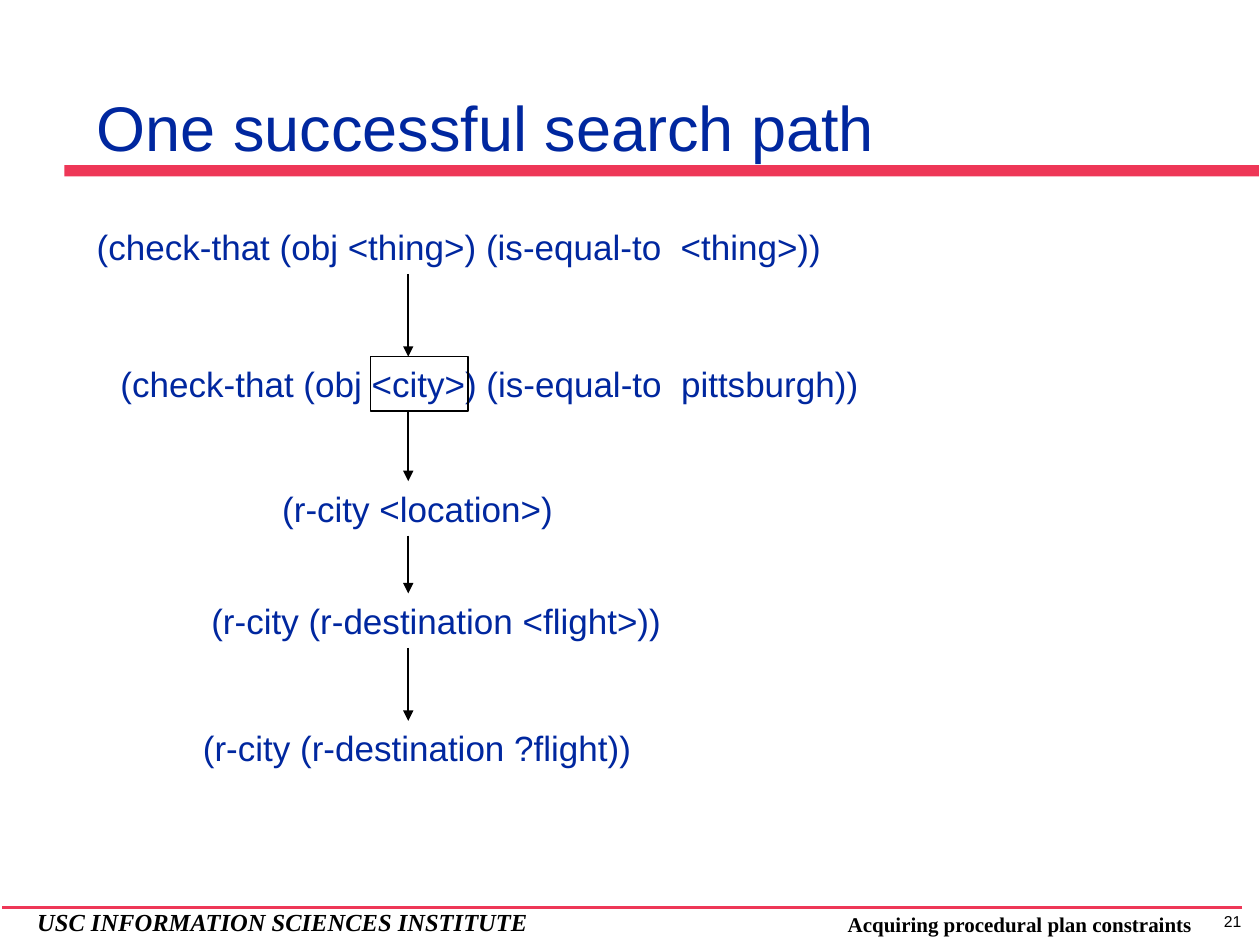
from pptx import Presentation
from pptx.dml.color import RGBColor
from pptx.enum.shapes import MSO_CONNECTOR as Link, MSO_SHAPE as Shape
from pptx.enum.text import MSO_ANCHOR as Anchor, MSO_AUTO_SIZE as Fit, PP_ALIGN as Align
from pptx.oxml.ns import qn
from pptx.util import Cm, Pt
from lxml.etree import SubElement

BLUE, RED, BLACK = "00279F", "EE3757", "000000"


def write(box, text, size=20, font="Arial", color=BLUE, bold=False,
          italic=False, align=Align.LEFT, anchor=Anchor.TOP):
    frame = box.text_frame
    frame.word_wrap = True
    frame.auto_size = Fit.NONE
    frame.vertical_anchor = anchor
    par = frame.paragraphs[0]
    par.alignment = align
    run = par.add_run()
    run.text = text
    run.font.size = Pt(size)
    run.font.name = font
    run.font.bold = bold
    run.font.italic = italic
    run.font.color.rgb = RGBColor.from_string(color)


def draw(x1, y1, x2, y2, color, width, arrow=False):
    line = slide.shapes.add_connector(Link.STRAIGHT, Cm(x1), Cm(y1), Cm(x2), Cm(y2))
    line.line.color.rgb = RGBColor.from_string(color)
    line.line.width = Pt(width)
    if arrow:
        SubElement(line.line._get_or_add_ln(), qn("a:tailEnd"), type="triangle")
    SubElement(line._element.spPr, qn("a:effectLst"))


prs = Presentation()
prs.slide_width, prs.slide_height = Cm(25.4), Cm(19.05)
slide = prs.slides.add_slide(prs.slide_layouts[5])
shapes = slide.shapes

# Title and the bar under it
bar = shapes.add_shape(Shape.RECTANGLE, Cm(1.3), Cm(3.33), Cm(24.08), Cm(0.23))
bar.shadow.inherit = False
bar.fill.solid()
bar.fill.fore_color.rgb = RGBColor.from_string(RED)
bar.line.fill.background()

title = shapes.title
title.left, title.top, title.width, title.height = Cm(1.7), Cm(0.23), Cm(21.54), Cm(3.2)
write(title, "One successful search path", size=36, anchor=Anchor.BOTTOM)

# Footer
draw(25.04, 18.29, 0.05, 18.29, RED, 2)
serif = {"font": "Times New Roman", "color": BLACK, "bold": True}
for x, y, w, text, style in [
    (0.5, 18.16, 11.07, "USC INFORMATION SCIENCES INSTITUTE", {**serif, "size": 14, "italic": True}),
    (16.84, 18.26, 7.6, "Acquiring procedural plan constraints", {**serif, "size": 12}),
    (24.3, 18.26, 1.1, "21", {"size": 9, "color": BLACK, "align": Align.CENTER}),
]:
    note = shapes.add_textbox(Cm(x), Cm(y), Cm(w), Cm(0.76))
    write(note, text, **style)

# Search steps, each joined to the one above by an arrow
high, mid = 1.1, 8.23
steps = [
    (1.7, 4.42, 15.6, "(check-that (obj <thing>) (is-equal-to  <thing>))"),
    (2.18, 7.19, 15.6, "(check-that (obj <city>) (is-equal-to  pittsburgh))"),
    (5.44, 9.7, 6.35, "(r-city <location>)"),
    (4.01, 11.96, 9.9, "(r-city (r-destination <flight>))"),
    (3.84, 14.53, 10.1, "(r-city (r-destination ?flight))"),
]
for x, y, w, text in steps:
    step = shapes.add_textbox(Cm(x), Cm(y), Cm(w), Cm(high))
    write(step, text)
for above, below in zip(steps, steps[1:]):
    draw(mid, above[1] + high, mid, below[1], BLACK, 1, arrow=True)

# Frame around <city>
frame = shapes.add_shape(Shape.RECTANGLE, Cm(7.47), Cm(7.19), Cm(1.96), Cm(high))
frame.shadow.inherit = False
frame.fill.background()
frame.line.color.rgb = RGBColor.from_string(BLACK)
frame.line.width = Pt(1)

prs.save("out.pptx")
